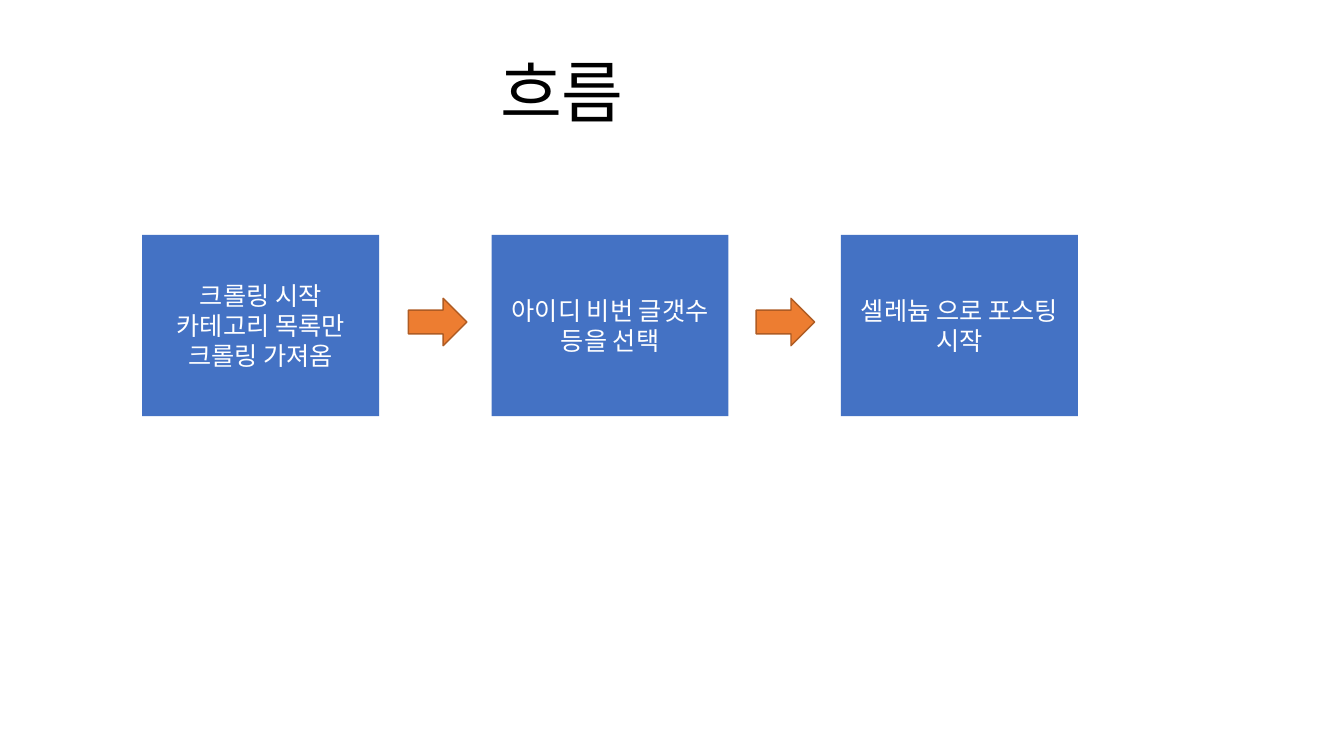
import pptx
import pptx.dml.color
import pptx.enum.shapes
import pptx.enum.text
import pptx.oxml
import pptx.oxml.ns
import pptx.util

Inches = pptx.util.Inches
RGBColor = pptx.dml.color.RGBColor
MSO_SHAPE = pptx.enum.shapes.MSO_SHAPE
PP_ALIGN = pptx.enum.text.PP_ALIGN
MSO_ANCHOR = pptx.enum.text.MSO_ANCHOR

BLACK = RGBColor(0x00, 0x00, 0x00)
WHITE = RGBColor(0xFF, 0xFF, 0xFF)
STEP_BLUE = RGBColor(0x44, 0x72, 0xC4)
ARROW_ORANGE = RGBColor(0xED, 0x7D, 0x31)
ARROW_EDGE = RGBColor(0xAF, 0x5C, 0x24)
FONT = "Noto Sans CJK KR"

SLIDE_WIDTH, SLIDE_HEIGHT = 13.33, 7.5
FLOW_LEFT, FLOW_TOP = 1.41, 2.33
STEP_WIDTH, STEP_HEIGHT = 2.35, 1.8
STEP_PITCH = 3.465
ARROW_LEFT, ARROW_TOP = 4.05, 2.96
ARROW_WIDTH, ARROW_HEIGHT = 0.58, 0.47
ARROW_PITCH = 3.45

STEPS = [
    ["크롤링 시작", "카테고리 목록만 크롤링 가져옴"],
    ["아이디 비번 글갯수 등을 선택"],
    ["셀레늄 으로 포스팅 시작"],
]


def write_text(frame, lines, size, color, align, anchor):
    """Fill a text frame with one paragraph per line, in Latin and Korean font."""
    frame.word_wrap = True
    frame.vertical_anchor = anchor
    frame.margin_left = frame.margin_right = Inches(0.1)
    frame.margin_top = frame.margin_bottom = Inches(0.05)
    frame.text = "\n".join(lines)
    for paragraph in frame.paragraphs:
        paragraph.alignment = align
        paragraph.font.size = pptx.util.Pt(size)
        paragraph.font.color.rgb = color
        paragraph.font.name = FONT
        latin = paragraph.font._element.find(pptx.oxml.ns.qn("a:latin"))
        latin.addnext(pptx.oxml.parse_xml(
            f'<a:ea {pptx.oxml.ns.nsdecls("a")} typeface="{FONT}"/>'))


def add_heading(slide, text):
    """Place the slide title."""
    heading = slide.shapes.title
    heading.left, heading.top = Inches(4.86), Inches(0.45)
    heading.width, heading.height = Inches(4.31), Inches(0.91)
    write_text(heading.text_frame, [text], 48, BLACK, PP_ALIGN.LEFT, MSO_ANCHOR.TOP)


def add_block(slide, preset, left, top, width, height, fill):
    """Add a flat filled shape without an outline."""
    block = slide.shapes.add_shape(
        preset, Inches(left), Inches(top), Inches(width), Inches(height))
    block.shadow.inherit = False
    block.fill.solid()
    block.fill.fore_color.rgb = fill
    block.line.fill.background()
    return block


def add_step(slide, column, lines):
    """Add one step of the flow in the given column."""
    step = add_block(slide, MSO_SHAPE.RECTANGLE, FLOW_LEFT + column * STEP_PITCH,
                     FLOW_TOP, STEP_WIDTH, STEP_HEIGHT, STEP_BLUE)
    write_text(step.text_frame, lines, 18, WHITE, PP_ALIGN.CENTER, MSO_ANCHOR.MIDDLE)


def add_arrow(slide, column):
    """Add the arrow that follows the step in the given column."""
    arrow = add_block(slide, MSO_SHAPE.RIGHT_ARROW, ARROW_LEFT + column * ARROW_PITCH,
                      ARROW_TOP, ARROW_WIDTH, ARROW_HEIGHT, ARROW_ORANGE)
    arrow.line.color.rgb = ARROW_EDGE
    arrow.line.width = pptx.util.Pt(1)


def main():
    """Build the flow slide and save it."""
    deck = pptx.Presentation()
    deck.slide_width, deck.slide_height = Inches(SLIDE_WIDTH), Inches(SLIDE_HEIGHT)
    slide = deck.slides.add_slide(deck.slide_layouts.get_by_name("Title Only"))
    add_heading(slide, "흐름")
    for column, lines in enumerate(STEPS):
        add_step(slide, column, lines)
    for column in range(len(STEPS) - 1):
        add_arrow(slide, column)
    deck.save("out.pptx")


main()
